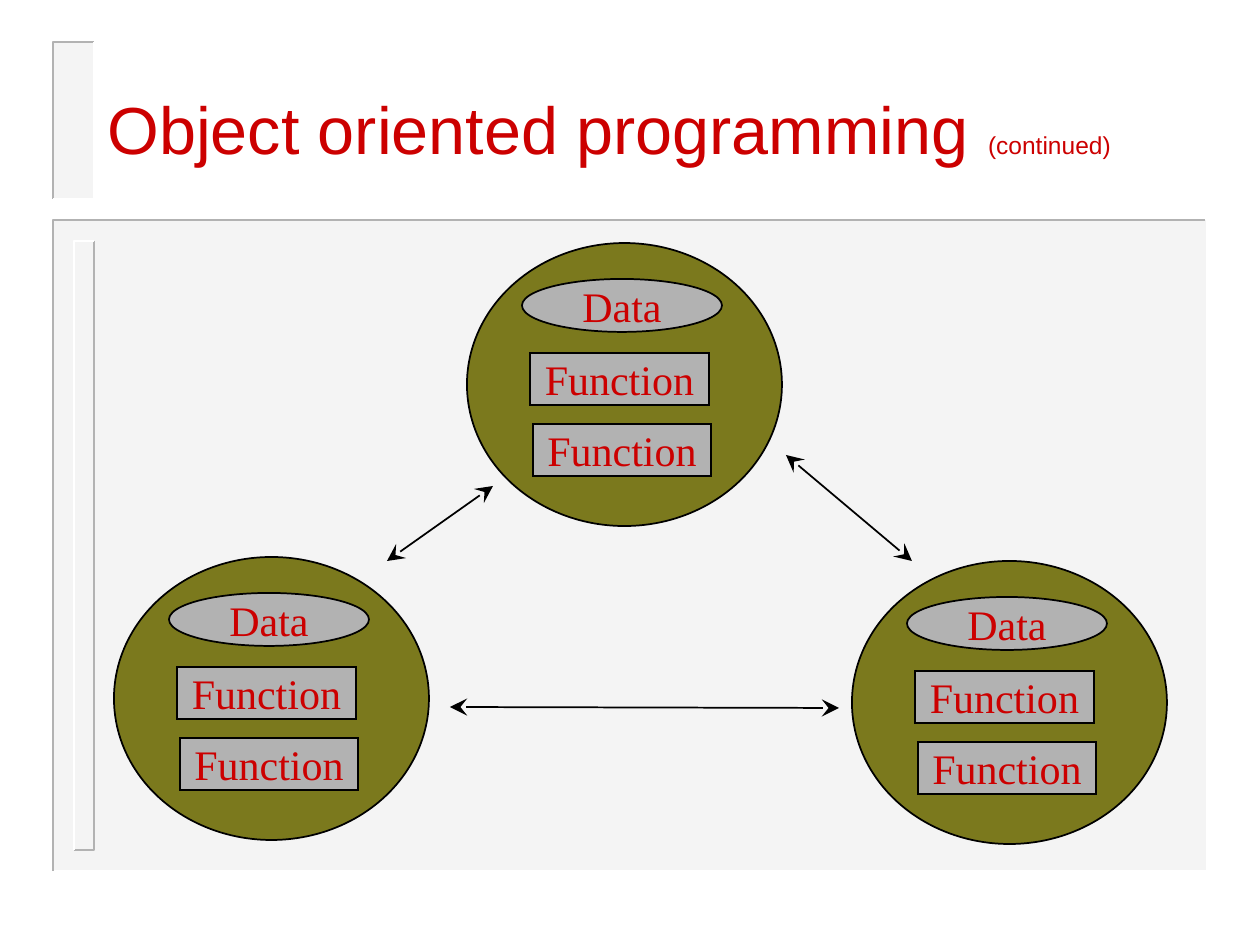
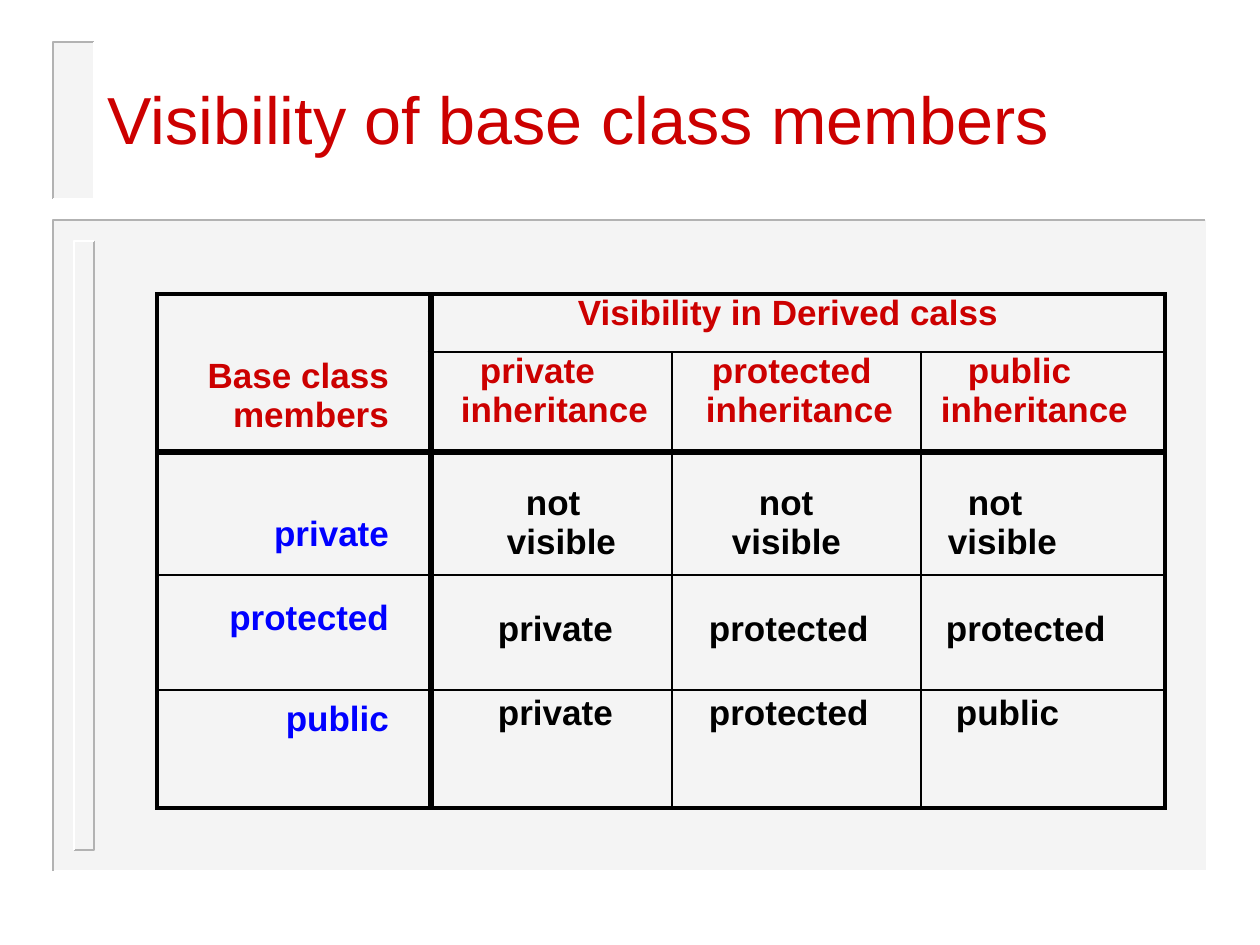
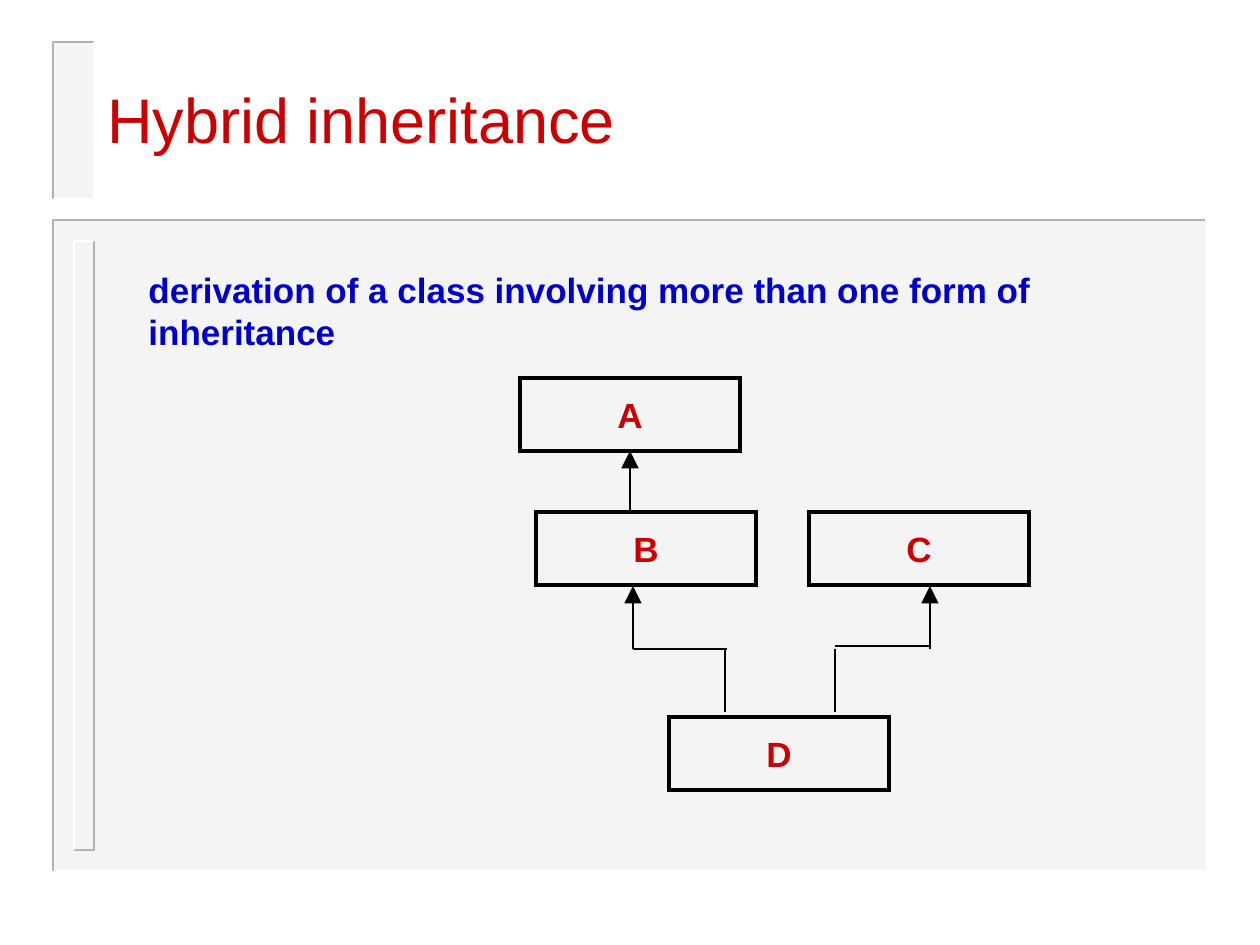
from lxml import etree
from pptx import Presentation
from pptx.dml.color import RGBColor
from pptx.enum.shapes import MSO_CONNECTOR, MSO_SHAPE
from pptx.enum.text import MSO_ANCHOR, PP_ALIGN
from pptx.oxml.ns import qn
from pptx.util import Pt

PX = 914400 / 126
RECTANGLE, OVAL = MSO_SHAPE.RECTANGLE, MSO_SHAPE.OVAL
STRAIGHT = MSO_CONNECTOR.STRAIGHT
TOP, MIDDLE = MSO_ANCHOR.TOP, MSO_ANCHOR.MIDDLE
LEFT, CENTER, RIGHT = PP_ALIGN.LEFT, PP_ALIGN.CENTER, PP_ALIGN.RIGHT

RED = RGBColor(0xCC, 0x00, 0x00)
BLUE = RGBColor(0x00, 0x00, 0xFF)
NAVY = RGBColor(0x00, 0x00, 0xCC)
BLACK = RGBColor(0x00, 0x00, 0x00)
WHITE = RGBColor(0xFF, 0xFF, 0xFF)
GRAY = RGBColor(0xB2, 0xB2, 0xB2)
PANEL = RGBColor(0xEA, 0xEA, 0xEA)
OLIVE = RGBColor(0x7B, 0x79, 0x1D)

PANELS = [(54, 220, 1152, 650), (53, 42, 41, 157)]
BEVELS = [
    (GRAY, [(1205, 220), (53, 220), (53, 871)]),
    (WHITE, [(1207, 220), (1207, 871), (55, 871)]),
    (GRAY, [(74, 850), (94, 850), (94, 241)]),
    (WHITE, [(74, 850), (74, 241), (94, 241)]),
    (GRAY, [(94, 42), (53, 42), (53, 199)]),
    (WHITE, [(94, 42), (94, 199), (53, 199)]),
]

OBJECT_SIZE = (315, 283)
OBJECTS = [(467, 243), (852, 561), (114, 557)]
MEMBERS = [
    ("Data", OVAL, (55, 36, 200, 53)),
    ("Function", RECTANGLE, (63, 110, 179, 52)),
    ("Function", RECTANGLE, (66, 181, 178, 52)),
]
MESSAGES = [
    ((450, 707), (839, 708)),
    ((387, 561), (493, 486)),
    ((786, 455), (912, 561)),
]

COLUMN_EDGES = [157, 431, 672, 921, 1165]
ROW_EDGES = [294, 352, 452, 575, 690, 808]
COLUMN_RULES = [2.25, 4.5, 1, 1, 2.25]
ROW_RULES = [2.25, 1, 4.5, 1, 1, 2.25]
OPEN_RULE = (1, 0)
NAME_EDGE = 389
TABLE_CELLS = [
    (0, 0, 1, 294, RED, []),
    (0, 1, 3, 294, RED, [("Visibility in Derived calss", 578)]),
    (1, 0, 1, 357, RED, [("Base class", None), ("members", None)]),
    (1, 1, 1, 352, RED, [("private", 480), ("inheritance", 461)]),
    (1, 2, 1, 352, RED, [("protected", 712), ("inheritance", 706)]),
    (1, 3, 1, 352, RED, [("public", 968), ("inheritance", 941)]),
    (2, 0, 1, 515, BLUE, [("private", None)]),
    (2, 1, 1, 484, BLACK, [("not", 526), ("visible", 507)]),
    (2, 2, 1, 484, BLACK, [("not", 759), ("visible", 732)]),
    (2, 3, 1, 484, BLACK, [("not", 968), ("visible", 948)]),
    (3, 0, 1, 599, BLUE, [("protected", None)]),
    (3, 1, 1, 610, BLACK, [("private", 498)]),
    (3, 2, 1, 610, BLACK, [("protected", 709)]),
    (3, 3, 1, 610, BLACK, [("protected", 946)]),
    (4, 0, 1, 700, BLUE, [("public", None)]),
    (4, 1, 1, 694, BLACK, [("private", 498)]),
    (4, 2, 1, 694, BLACK, [("protected", 709)]),
    (4, 3, 1, 694, BLACK, [("public", 956)]),
]

DEFINITION = "derivation of a class involving more than one form of inheritance"
CLASS_SIZE = (220, 73)
CLASSES = [("A", 520, 378), ("B", 536, 512), ("C", 809, 512), ("D", 669, 717)]
INHERITANCE_ARROWS = [
    ((630, 451), (630, 514)),
    ((633, 586), (633, 649)),
    ((930, 586), (930, 649)),
]
INHERITANCE_LINES = [
    ((633, 649), (727, 649)),
    ((835, 646), (930, 646)),
    ((725, 649), (725, 712)),
    ((835, 649), (835, 712)),
]


def emu(*lengths):
    return [round(length * PX) for length in lengths]


def add_span(para, text, size=20, color=RED, name="Arial", bold=False):
    span = para.add_run()
    span.text = text
    span.font.size = Pt(size)
    span.font.color.rgb = color
    span.font.name = name
    span.font.bold = bold


def add_shape(page, kind, place, fill=None, line=None, width=1):
    shape = page.shapes.add_shape(kind, *emu(*place))
    shape.shadow.inherit = False
    if fill is None:
        shape.fill.background()
    else:
        shape.fill.solid()
        shape.fill.fore_color.rgb = fill
    if line is None:
        shape.line.fill.background()
    else:
        shape.line.color.rgb = line
        shape.line.width = Pt(width)
        outline = shape.element.spPr.find(qn("a:ln"))
        etree.SubElement(outline, qn("a:miter"), lim="800000")
    return shape


def add_label(shape, text, **font):
    frame = shape.text_frame
    frame.word_wrap = False
    frame.vertical_anchor = MIDDLE
    para = frame.paragraphs[0]
    para.alignment = CENTER
    add_span(para, text, **font)


def add_text_box(page, place, spans, anchor=TOP):
    frame = page.shapes.add_textbox(*emu(*place)).text_frame
    frame.word_wrap = True
    frame.vertical_anchor = anchor
    for text, font in spans:
        add_span(frame.paragraphs[0], text, **font)


def add_line(page, start, end, head=None, tail=None):
    connector = page.shapes.add_connector(STRAIGHT, *emu(*start, *end))
    connector.line.color.rgb = BLACK
    connector.line.width = Pt(1)
    properties = connector.element.spPr
    outline = properties.find(qn("a:ln"))
    for tag, arrow in (("a:headEnd", head), ("a:tailEnd", tail)):
        if arrow:
            etree.SubElement(outline, qn(tag), type=arrow, w="lg", len="lg")
    etree.SubElement(properties, qn("a:effectLst"))


def add_page(deck, title_top, *title):
    page = deck.slides.add_slide(deck.slide_layouts[6])
    for place in PANELS:
        panel = add_shape(page, RECTANGLE, place, PANEL)
        color = next(panel.element.spPr.iter(qn("a:srgbClr")))
        etree.SubElement(color, qn("a:alpha"), val="50000")
    for color, points in BEVELS:
        start, *rest = [emu(*point) for point in points]
        builder = page.shapes.build_freeform(*start)
        builder.add_line_segments(rest, close=False)
        bevel = builder.convert_to_shape()
        bevel.shadow.inherit = False
        bevel.fill.background()
        bevel.line.color.rgb = color
        bevel.line.width = Pt(1)
    add_text_box(page, (95, title_top, 1165, 158), title, anchor=MIDDLE)
    return page


def set_border(cell, side, width):
    border = etree.SubElement(
        cell._tc.get_or_add_tcPr(), qn("a:" + side), w=str(Pt(width)))
    if width:
        fill = etree.SubElement(border, qn("a:solidFill"))
        etree.SubElement(fill, qn("a:srgbClr"), val=str(BLACK))
    else:
        etree.SubElement(border, qn("a:noFill"))


def row_rule(edge, column):
    return 0 if (edge, column) == OPEN_RULE else ROW_RULES[edge]


def add_visibility_table(page):
    left, top = COLUMN_EDGES[0], ROW_EDGES[0]
    place = (left, top, COLUMN_EDGES[-1] - left, ROW_EDGES[-1] - top)
    table = page.shapes.add_table(
        len(ROW_EDGES) - 1, len(COLUMN_EDGES) - 1, *emu(*place)).table
    table.first_row = table.horz_banding = False
    for column, start, end in zip(table.columns, COLUMN_EDGES, COLUMN_EDGES[1:]):
        column.width = emu(end - start)[0]
    for row, start, end in zip(table.rows, ROW_EDGES, ROW_EDGES[1:]):
        row.height = emu(end - start)[0]

    for row, column, width, text_top, color, lines in TABLE_CELLS:
        cell = table.cell(row, column)
        last_column = column + width
        if width > 1:
            cell.merge(table.cell(row, last_column - 1))
        cell.margin_left = cell.margin_right = cell.margin_bottom = 0
        cell.margin_top = emu(text_top - ROW_EDGES[row])[0]
        cell.vertical_anchor = TOP
        set_border(cell, "lnL", COLUMN_RULES[column])
        set_border(cell, "lnR", COLUMN_RULES[last_column])
        set_border(cell, "lnT", row_rule(row, column))
        set_border(cell, "lnB", row_rule(row + 1, column))
        for index, (text, text_left) in enumerate(lines):
            frame = cell.text_frame
            para = frame.add_paragraph() if index else frame.paragraphs[0]
            if text_left is None:
                para.alignment = RIGHT
                cell.margin_right = emu(COLUMN_EDGES[last_column] - NAME_EDGE)[0]
            else:
                para.alignment = LEFT
                indent = emu(text_left - COLUMN_EDGES[column])[0]
                para._p.get_or_add_pPr().set("marL", str(indent))
            add_span(para, text, color=color, bold=True)
    for cell in table.iter_cells():
        cell.fill.background()


def main():
    deck = Presentation()
    deck.slide_width, deck.slide_height = emu(1260, 945)

    page = add_page(deck, 49, ("Object oriented programming ", {"size": 38}),
                    ("(continued)", {"size": 14}))
    for left, top in OBJECTS:
        add_shape(page, OVAL, (left, top, *OBJECT_SIZE), OLIVE, BLACK)
        for text, kind, (across, down, width, height) in MEMBERS:
            place = (left + across, top + down, width, height)
            member = add_shape(page, kind, place, GRAY, BLACK)
            add_label(member, text, size=24, name="Times New Roman")
    for start, end in MESSAGES:
        add_line(page, start, end, head="stealth", tail="stealth")

    page = add_page(deck, 39, ("Visibility of base class members", {"size": 38}))
    add_visibility_table(page)

    page = add_page(deck, 39, ("Hybrid inheritance", {"size": 36}))
    for text, left, top in CLASSES:
        place = (left, top, *CLASS_SIZE)
        box = add_shape(page, RECTANGLE, place, line=BLACK, width=2.25)
        add_label(box, text, bold=True)
    for start, end in INHERITANCE_ARROWS:
        add_line(page, start, end, head="triangle")
    for start, end in INHERITANCE_LINES:
        add_line(page, start, end)
    add_text_box(page, (136, 262, 1040, 139),
                 [(DEFINITION, {"color": NAVY, "bold": True})])

    deck.save("out.pptx")


if __name__ == "__main__":
    main()
